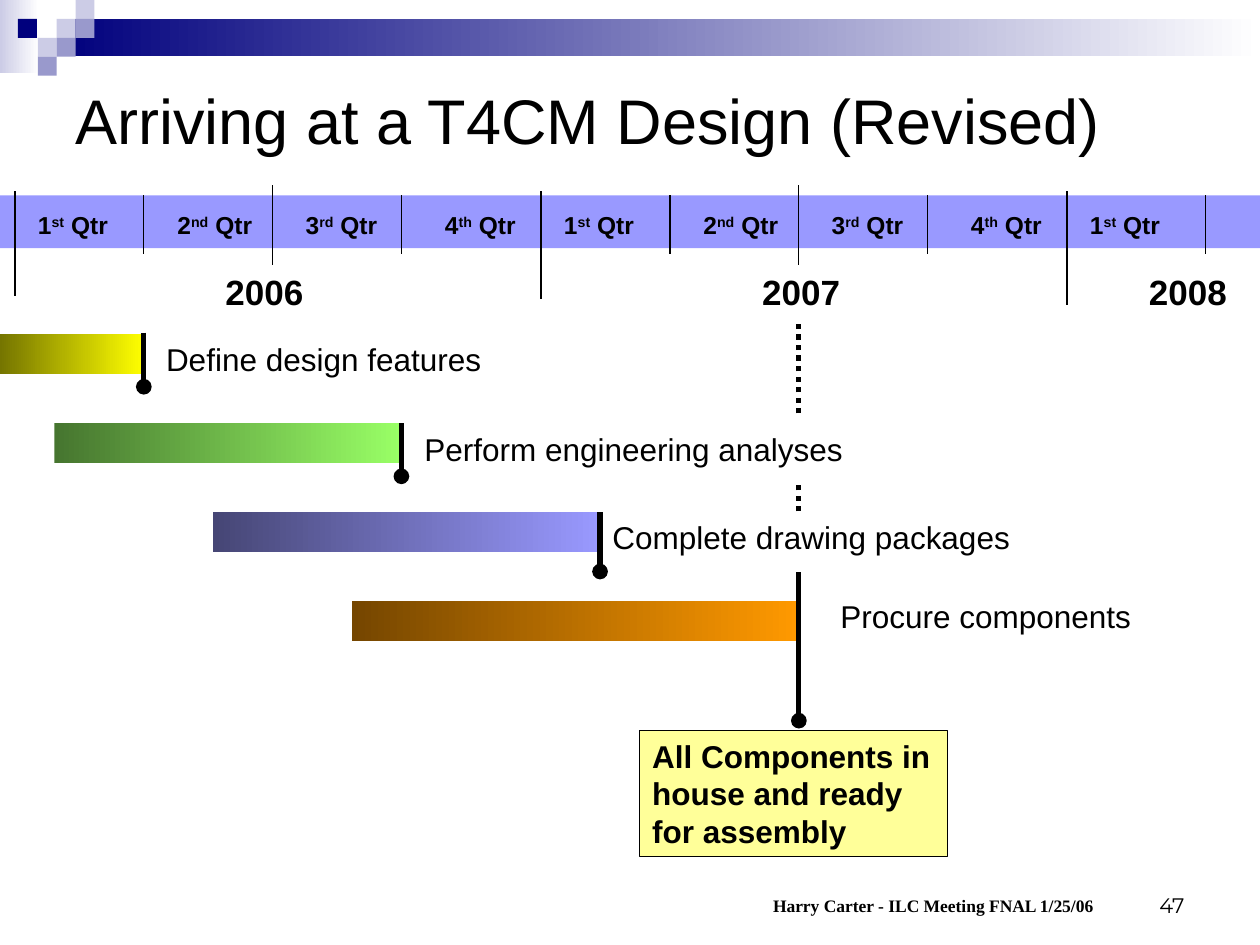
"""Build the T4CM design schedule slide."""
from dataclasses import dataclass

from lxml import etree
from pptx import Presentation
from pptx.dml.color import RGBColor
from pptx.enum.dml import MSO_LINE
from pptx.enum.shapes import MSO_CONNECTOR, MSO_SHAPE
from pptx.enum.text import MSO_ANCHOR, MSO_AUTO_SIZE, PP_ALIGN
from pptx.oxml.ns import qn
from pptx.util import Pt

RECTANGLE, STRAIGHT = MSO_SHAPE.RECTANGLE, MSO_CONNECTOR.STRAIGHT
DOTTED = MSO_LINE.ROUND_DOT
TOP, MIDDLE, BOTTOM = MSO_ANCHOR.TOP, MSO_ANCHOR.MIDDLE, MSO_ANCHOR.BOTTOM
LEFT, CENTER, RIGHT = PP_ALIGN.LEFT, PP_ALIGN.CENTER, PP_ALIGN.RIGHT


@dataclass(frozen=True)
class Theme:
    """Colours, fonts and type sizes."""
    ink: str = "000000"
    white: str = "FFFFFF"
    navy: str = "00007D"
    mid: str = "9999CC"
    pale: str = "CCCCE6"
    band: str = "9999FF"
    note: str = "FFFF99"
    font: str = "Arial"
    footer_font: str = "Times New Roman"
    number_font: str = "Montserrat"
    title_size: int = 36
    year_size: int = 20
    task_size: int = 18
    quarter_size: int = 14
    number_size: int = 12
    footer_size: int = 10
    thin: float = 0.75
    thick: float = 3


THEME = Theme()
TITLE = "Arriving at a T4CM Design (Revised)"
MILESTONE = "All Components in house and ready for assembly"
FOOTER = "Harry Carter - ILC Meeting FNAL 1/25/06"
PAGE = "47"

YEARS = [("2006", 121.7, 169.2), ("2007", 428.4, 170.6), ("2008", 649.4, 174.2)]
QUARTERS = [("1", "st", 6), ("2", "nd", 85.7), ("3", "rd", 159), ("4", "th", 238.6)]
QUARTER_COUNT = 9
YEAR_START, YEAR_PITCH, QUARTER_PITCH = 8.6, 300.6, 73.6
LAST_TICK = 689
BAND_TOP, BAND_HEIGHT = 111.6, 30.2

TASKS = [
    ("Define design features", 0, 82.2, 190.8, "757500", "FFFF00", 87.8, 190.8, 190.1, 221),
    ("Perform engineering analyses", 31, 229.4, 241.9, "46752F", "99FF66", 235.4, 241.9, 241.9, 272.2),
    ("Complete drawing packages", 121.7, 342.9, 292.6, "464675", "9999FF", 342.9, 292.6, 292.6, 326.6),
    ("Procure components", 200.9, 456.5, 343.7, "754600", "FF9900", 473.2, 337.7, 326.9, 411.8),
]
BAR_HEIGHT = 22.7
DEADLINE_X = 456.5
DEADLINE_DOTS = [(236.2, 185), (292.3, 275.8)]

MOSAIC_STEP = 10.8
MOSAIC = [(3, 1, THEME.pale), (4, 0, THEME.pale), (4, 1, THEME.mid), (2, 2, THEME.pale),
          (0.95, 1, THEME.navy), (3, 2, THEME.mid), (2, 3, THEME.mid)]

prs = Presentation()
prs.slide_width, prs.slide_height = Pt(720), Pt(540)
slide = prs.slides.add_slide(prs.slide_layouts[5])
shapes = slide.shapes


def rgb(code):
    return RGBColor.from_string(code)


def add_box(left, top, width, height, start, end=None):
    box = shapes.add_shape(RECTANGLE, Pt(left), Pt(top), Pt(width), Pt(height))
    box.shadow.inherit = False
    box.line.fill.background()
    if end is None:
        box.fill.solid()
        box.fill.fore_color.rgb = rgb(start)
    else:
        box.fill.gradient()
        box.fill.gradient_angle = 0
        for stop, code in zip(box.fill.gradient_stops, (start, end)):
            stop.color.rgb = rgb(code)
    return box


def add_rule(x, top, bottom, weight=THEME.thin, dash=None, dot_end=False):
    rule = shapes.add_connector(STRAIGHT, Pt(x), Pt(top), Pt(x), Pt(bottom))
    rule.line.color.rgb = rgb(THEME.ink)
    rule.line.width = Pt(weight)
    if dash is not None:
        rule.line.dash_style = dash
    if dot_end:
        etree.SubElement(rule.line._get_or_add_ln(), qn("a:tailEnd"), type="oval")
    etree.SubElement(rule._element.spPr, qn("a:effectLst"))


def write(shape, runs, size, bold=False, font=THEME.font, align=LEFT, anchor=TOP, wrap=False):
    frame = shape.text_frame
    frame.word_wrap = wrap
    frame.auto_size = MSO_AUTO_SIZE.NONE
    frame.vertical_anchor = anchor
    frame.margin_left = frame.margin_right = Pt(7.2)
    frame.margin_top = frame.margin_bottom = Pt(3.6)
    paragraph = frame.paragraphs[0]
    paragraph.alignment = align
    for text, raised in runs:
        run = paragraph.add_run()
        run.text = text
        run.font.name, run.font.size, run.font.bold = font, Pt(size), bold
        run.font.color.rgb = rgb(THEME.ink)
        if raised:
            run.font._element.set("baseline", "30000")


def add_text(left, top, width, height, runs, size, **style):
    box = shapes.add_textbox(Pt(left), Pt(top), Pt(width), Pt(height))
    write(box, runs, size, **style)
    return box


def draw_header():
    add_box(0, 0, 22.3, 41.8, THEME.pale, THEME.white)
    add_box(32.4, 10.8, 687.6, 21.4, THEME.navy, THEME.white)
    for column, row, code in MOSAIC:
        add_box(column * MOSAIC_STEP, row * MOSAIC_STEP, MOSAIC_STEP, MOSAIC_STEP, code)
    title = shapes.title
    title.left, title.top, title.width, title.height = Pt(36), Pt(36), Pt(648), Pt(64)
    write(title, [(TITLE, False)], THEME.title_size, anchor=MIDDLE, wrap=True)


def draw_timeline():
    add_box(0, BAND_TOP, 720, BAND_HEIGHT, THEME.band)
    for index, (year, label_left, bottom) in enumerate(YEARS):
        add_rule(YEAR_START + index * YEAR_PITCH, 109.4, bottom)
        add_text(label_left, 151.2, 59, 31.7, [(year, False)], THEME.year_size, bold=True)
    for index in range(QUARTER_COUNT):
        year, quarter = divmod(index, len(QUARTERS))
        start = YEAR_START + year * YEAR_PITCH
        number, suffix, offset = QUARTERS[quarter]
        if quarter:
            top, bottom = (105.8, 151.2) if quarter == 2 else (BAND_TOP, 145.4)
            add_rule(start + quarter * QUARTER_PITCH, top, bottom)
        add_text(start + offset, 116.6, 55.5, 24.5,
                 [(number, False), (suffix, True), (" Qtr", False)], THEME.quarter_size, bold=True)
    add_rule(LAST_TICK, BAND_TOP, 145.4)


def draw_tasks():
    for name, start, end, top, dark, bright, label_left, label_top, mark_top, mark_bottom in TASKS:
        add_box(start, top, end - start, BAR_HEIGHT, dark, bright)
        add_rule(end, mark_top, mark_bottom, THEME.thick, dot_end=True)
        add_text(label_left, label_top, 253, 29, [(name, False)], THEME.task_size)
    for top, bottom in DEADLINE_DOTS:
        add_rule(DEADLINE_X, top, bottom, THEME.thick, DOTTED)
    milestone = add_box(365.6, 417.4, 176, 72, THEME.note)
    milestone.line.color.rgb = rgb(THEME.ink)
    milestone.line.width = Pt(THEME.thin)
    write(milestone, [(MILESTONE, False)], THEME.task_size, bold=True, wrap=True)


def draw_footer():
    footer = add_text(411, 502.6, 227, 24.5, [(FOOTER, False)], THEME.footer_size, bold=True,
                      font=THEME.footer_font, align=CENTER, anchor=BOTTOM, wrap=True)
    footer.text_frame.margin_left = Pt(24.5)
    add_text(638, 491.8, 46, 36, [(PAGE, False)], THEME.number_size,
             font=THEME.number_font, align=RIGHT, anchor=BOTTOM, wrap=True)


if __name__ == "__main__":
    draw_header()
    draw_timeline()
    draw_tasks()
    draw_footer()
    prs.save("out.pptx")
